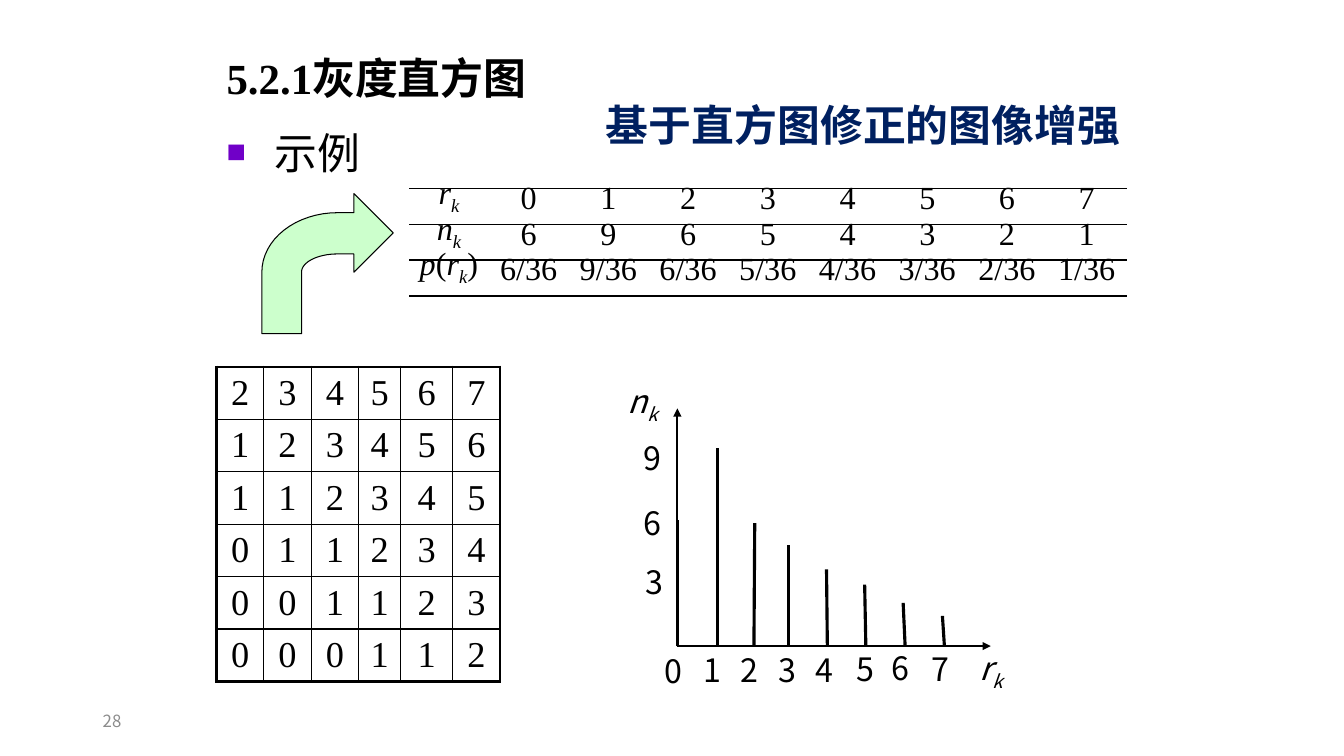
import math

from lxml import etree
from pptx import Presentation
from pptx.dml.color import RGBColor
from pptx.enum.shapes import MSO_CONNECTOR, MSO_SHAPE
from pptx.enum.text import MSO_ANCHOR, MSO_AUTO_SIZE, PP_ALIGN
from pptx.oxml.ns import qn
from pptx.util import Cm, Pt

LEFT, CENTER = PP_ALIGN.LEFT, PP_ALIGN.CENTER
TOP, MIDDLE = MSO_ANCHOR.TOP, MSO_ANCHOR.MIDDLE
STRAIGHT, RECTANGLE = MSO_CONNECTOR.STRAIGHT, MSO_SHAPE.RECTANGLE
NO_AUTOFIT = MSO_AUTO_SIZE.NONE

SANS, SERIF = "Noto Sans CJK SC", "Times New Roman"
COLORS = {"ink": "000000", "navy": "002060", "bullet": "7000C8",
          "arrow": "CCFFCC", "paper": "FFFFFF", "page": "8C8C8C"}

SECTION = "5.2.1灰度直方图"
CHAPTER = "基于直方图修正的图像增强"
EXAMPLE = "示例"
PAGE = "28"

PIXELS = ["234567", "123456", "112345", "011234", "001123", "000112"]
PIXEL_COLUMNS = [1.19, 1.19, 1.2, 1.06, 1.31, 1.19]
PIXEL_ROW = 1.32

COUNTS = [6, 9, 6, 5, 4, 3, 2, 1]
STATISTICS = [
    ["rk"] + [str(level) for level in range(len(COUNTS))],
    ["nk"] + [str(count) for count in COUNTS],
    ["p(rk)"] + [f"{count}/{sum(COUNTS)}" for count in COUNTS],
]
STAT_COLUMN, STAT_ROW = 2.01, 0.9

# Histogram: axis corner and ends, bars as (foot x, tip x, tip y)
ORIGIN_X, ORIGIN_Y, AXIS_TOP, AXIS_RIGHT = 17.07, 16.28, 10.29, 24.97
BARS = [(17.07, 17.07, 13.11), (18.08, 18.08, 11.3), (19.0, 19.02, 13.18),
        (19.86, 19.86, 13.74), (20.85, 20.83, 14.35), (21.82, 21.79, 14.73),
        (22.81, 22.76, 15.19), (23.8, 23.75, 15.52)]
AXIS_LABELS = [
    ("0", 16.31, 16.28), ("1", 17.3, 16.26), ("2", 18.24, 16.26),
    ("3", 19.18, 16.26), ("4", 20.12, 16.26), ("5", 21.16, 16.23),
    ("6", 22.05, 16.21), ("7", 23.04, 16.23), ("rk", 24.26, 16.21),
    ("nk", 15.39, 9.47), ("9", 15.8, 10.92), ("6", 15.8, 12.55),
    ("3", 15.85, 14.05),
]


def rgb(name):
    return RGBColor.from_string(COLORS[name])


def style(run, size, face, color="ink", bold=False):
    run.font.size, run.font.name, run.font.bold = Pt(size), face, bold
    run.font.color.rgb = rgb(color)
    east_asian = etree.SubElement(run._r.get_or_add_rPr(), qn("a:ea"))
    east_asian.set("typeface", SANS)


def write(paragraph, text, size, face, color="ink", bold=False, align=LEFT):
    paragraph.text = text
    paragraph.alignment = align
    style(paragraph.runs[0], size, face, color, bold)


def write_symbol(paragraph, symbol, size, face):
    """Write a formula: letters in italics, the index k as a subscript."""
    for character in symbol:
        run = paragraph.add_run()
        run.text = character
        style(run, size, face)
        run.font.italic = character.isalpha()
        if character == "k":
            run._r.get_or_add_rPr().set("baseline", "-25000")


def write_value(paragraph, value, size, face, align):
    if value[0].isalpha():
        write_symbol(paragraph, value, size, face)
        paragraph.alignment = align
    else:
        write(paragraph, value, size, face, align=align)


def set_frame(frame, anchor=TOP, insets=(0.25, 0.13, 0.25, 0.13)):
    frame.word_wrap, frame.auto_size = True, NO_AUTOFIT
    frame.vertical_anchor = anchor
    (frame.margin_left, frame.margin_top,
     frame.margin_right, frame.margin_bottom) = [Cm(inset) for inset in insets]


def add_text_frame(shapes, left, top, width, height, **layout):
    box = shapes.add_textbox(Cm(left), Cm(top), Cm(width), Cm(height))
    set_frame(box.text_frame, **layout)
    return box.text_frame


def set_borders(cell, widths):
    """Border widths in points: left, right, top, bottom; 0 is no border."""
    properties = cell._tc.get_or_add_tcPr()
    for index, (side, width) in enumerate(zip("LRTB", widths)):
        border = etree.Element(qn("a:ln" + side), w=str(Pt(width)))
        if width:
            fill = etree.SubElement(border, qn("a:solidFill"))
            etree.SubElement(fill, qn("a:srgbClr"), val=COLORS["ink"])
        else:
            etree.SubElement(border, qn("a:noFill"))
        properties.insert(index, border)


def add_grid(shapes, left, top, rows, columns, row_height, size, anchor,
             borders, spacing=None):
    table = shapes.add_table(len(rows), len(columns), Cm(left), Cm(top),
                             Cm(sum(columns)), Cm(row_height * len(rows))).table
    table.first_row = table.horz_banding = False
    for column, width in zip(table.columns, columns):
        column.width = Cm(width)
    for r, values in enumerate(rows):
        table.rows[r].height = Cm(row_height)
        for c, value in enumerate(values):
            cell = table.cell(r, c)
            cell.fill.background()
            cell.vertical_anchor = anchor
            cell.margin_left = cell.margin_right = Cm(0.25)
            cell.margin_top = cell.margin_bottom = 0
            paragraph = cell.text_frame.paragraphs[0]
            write_value(paragraph, value, size, SERIF, CENTER)
            paragraph.line_spacing = spacing
            set_borders(cell, borders(r, c))


def pixel_borders(r, c):
    last = len(PIXELS) - 1
    return [2.25 if edge else 1 for edge in (c == 0, c == last, r == 0, r == last)]


def statistic_borders(r, c):
    last = len(STATISTICS) - 1
    return [0, 0, 1.5 if r == 0 else 1, 1.5 if r == last else 1]


def add_line(shapes, start, end, width, arrow=False):
    line = shapes.add_connector(STRAIGHT, *[Cm(v) for v in (*start, *end)])
    line.line.width, line.line.color.rgb = Pt(width), rgb("ink")
    if arrow:
        etree.SubElement(line.line._get_or_add_ln(), qn("a:tailEnd"), type="triangle")
    etree.SubElement(line._element.spPr, qn("a:effectLst"))


def bend(radius_x, radius_y, steps=16):
    """Quarter ellipse from its left end to its top."""
    angles = [math.pi / 2 * step / steps for step in range(steps + 1)]
    return [(8.51 - radius_x * math.cos(a), 6.86 - radius_y * math.sin(a))
            for a in angles]


def add_bent_arrow(shapes):
    head = [(8.92, 5.36), (8.92, 4.88), (9.91, 5.87), (8.92, 6.86), (8.92, 6.4)]
    outline = ([(6.6, 8.41)] + bend(1.91, 1.5) + head
               + bend(0.91, 0.46)[::-1] + [(7.6, 8.41)])
    points = [(Cm(x), Cm(y)) for x, y in outline]
    builder = shapes.build_freeform(*points[0])
    builder.add_line_segments(points[1:], close=True)
    arrow = builder.convert_to_shape()
    arrow.shadow.inherit = False
    arrow.fill.solid()
    arrow.fill.fore_color.rgb = rgb("arrow")
    arrow.line.color.rgb, arrow.line.width = rgb("ink"), Pt(0.75)


def add_bullet(paragraph):
    properties = paragraph._p.get_or_add_pPr()
    properties.set("marL", str(Cm(1.22)))
    properties.set("indent", str(-Cm(1.22)))
    color = etree.SubElement(properties, qn("a:buClr"))
    etree.SubElement(color, qn("a:srgbClr"), val=COLORS["bullet"])
    etree.SubElement(properties, qn("a:buSzPct"), val="75000")
    etree.SubElement(properties, qn("a:buFont"), typeface=SERIF)
    etree.SubElement(properties, qn("a:buChar"), char="■")


def main():
    deck = Presentation()
    deck.slide_width, deck.slide_height = Cm(33.87), Cm(19.05)
    slide = deck.slides.add_slide(deck.slide_layouts[5])
    shapes = slide.shapes

    title = shapes.title
    title.left, title.top, title.width, title.height = Cm(5.46), Cm(0.84), Cm(11.61), Cm(2.21)
    set_frame(title.text_frame, MIDDLE)
    write(title.text_frame.paragraphs[0], SECTION, 30.6, SERIF, bold=True)

    chapter = shapes.add_shape(RECTANGLE, Cm(15.27), Cm(2.59), Cm(13.51), Cm(1.09))
    chapter.shadow.inherit = False
    chapter.fill.solid()
    chapter.fill.fore_color.rgb = rgb("paper")
    chapter.line.fill.background()
    set_frame(chapter.text_frame, MIDDLE, (0, 0, 0, 0))
    write(chapter.text_frame.paragraphs[0], CHAPTER, 30.6, SANS, "navy", True)

    example = add_text_frame(shapes, 5.46, 3.05, 7.16, 1.65).paragraphs[0]
    add_bullet(example)
    write(example, EXAMPLE, 30.6, SANS)
    page = add_text_frame(shapes, 2.34, 17.65, 7.62, 1.02, anchor=MIDDLE)
    write(page.paragraphs[0], PAGE, 12, SANS, "page")

    add_grid(shapes, 5.46, 9.25, PIXELS, PIXEL_COLUMNS, PIXEL_ROW, 26, MIDDLE,
             pixel_borders)
    add_grid(shapes, 10.31, 4.75, STATISTICS, [STAT_COLUMN] * len(STATISTICS[0]),
             STAT_ROW, 23, TOP, statistic_borders, Pt(20))
    add_bent_arrow(shapes)

    origin = (ORIGIN_X, ORIGIN_Y)
    for end in ((ORIGIN_X, AXIS_TOP), (AXIS_RIGHT, ORIGIN_Y)):
        add_line(shapes, origin, end, 1.5, arrow=True)
    for foot, tip, height in BARS:
        add_line(shapes, (foot, ORIGIN_Y), (tip, height), 2.25)
    for label, left, top in AXIS_LABELS:
        width = 2.0 if label.isalpha() else 1.55
        frame = add_text_frame(shapes, left, top, width, 1.24,
                               insets=(0.43, 0.13, 0.25, 0.13))
        write_value(frame.paragraphs[0], label, 23, SANS, LEFT)

    deck.save("out.pptx")


if __name__ == "__main__":
    main()
